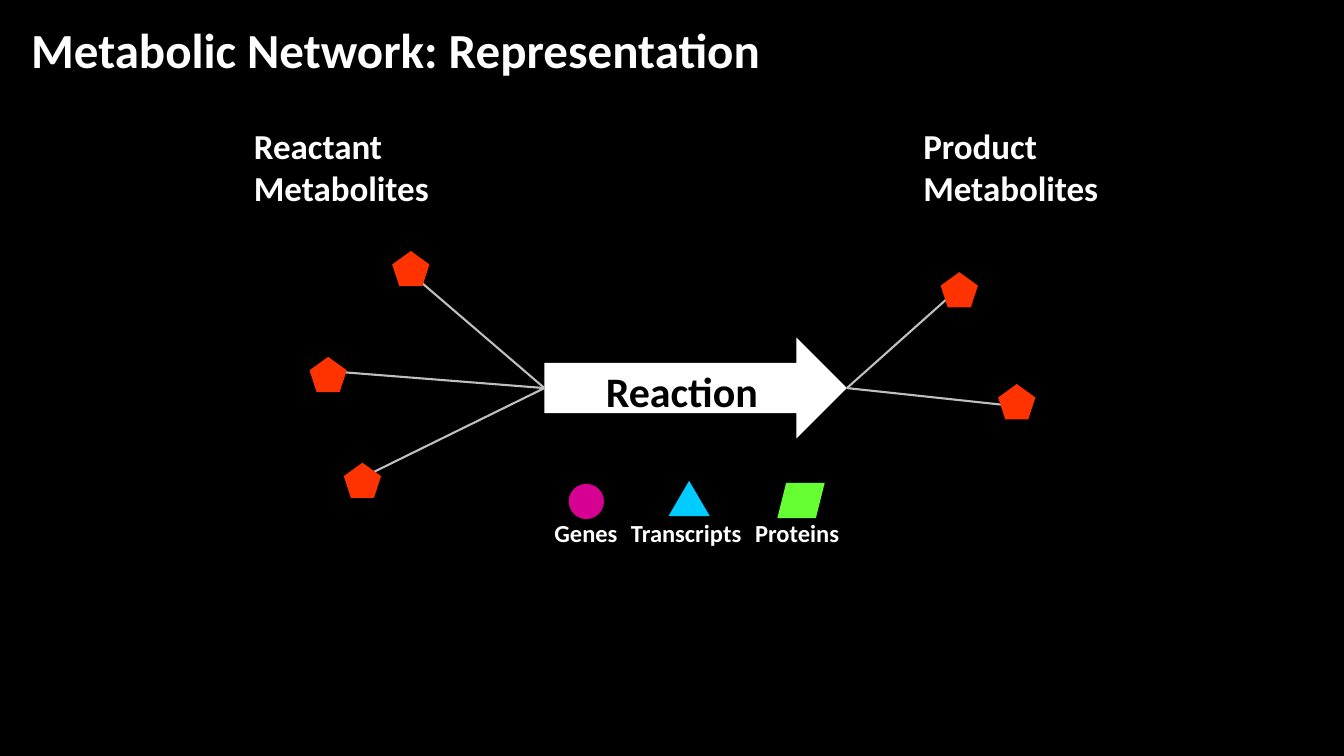
from dataclasses import dataclass

from lxml import etree
from pptx import Presentation
from pptx.dml.color import RGBColor
from pptx.enum.shapes import MSO_CONNECTOR, MSO_SHAPE
from pptx.oxml.ns import qn
from pptx.util import Inches, Pt

STRAIGHT = MSO_CONNECTOR.STRAIGHT
PENTAGON = MSO_SHAPE.REGULAR_PENTAGON
ARROW = MSO_SHAPE.RIGHT_ARROW
CIRCLE = MSO_SHAPE.OVAL
TRIANGLE = MSO_SHAPE.ISOSCELES_TRIANGLE
PARALLELOGRAM = MSO_SHAPE.PARALLELOGRAM
LEFT_SIDE, RIGHT_SIDE = 1, 3


@dataclass(frozen=True)
class Theme:
    font: str = "Calibri"
    background: str = "000000"
    light: str = "FFFFFF"
    dark: str = "000000"
    link: str = "BFBFBF"
    metabolite: str = "FF3300"
    gene: str = "D60093"
    transcript: str = "00CCFF"
    protein: str = "66FF33"
    title_size: float = 35
    reaction_size: float = 30
    heading_size: float = 25
    legend_size: float = 17.5
    link_width: float = 1.5


THEME = Theme()

# Metabolites: pentagon left and top, then the end of its link
REACTANTS = [
    (3.89, 2.49, 4.06, 2.7),
    (3.07, 3.54, 3.24, 3.68),
    (3.41, 4.59, 3.61, 4.73),
]
PRODUCTS = [
    (9.33, 2.7, 9.51, 2.86),
    (9.9, 3.81, 10.08, 4.03),
]

# Legend: symbol, its box and colour, then label, its left and width
LEGEND = [
    (CIRCLE, (5.64, 4.8, 0.35, 0.35), THEME.gene, "Genes", 5.4, 0.83),
    (TRIANGLE, (6.63, 4.77, 0.41, 0.35), THEME.transcript, "Transcripts", 6.16, 1.34),
    (PARALLELOGRAM, (7.71, 4.79, 0.47, 0.35), THEME.protein, "Proteins", 7.39, 1.11),
]


def color(value):
    return RGBColor.from_string(value)


def add_label(slide, box, lines, size, text_color=THEME.light):
    text_frame = slide.shapes.add_textbox(*map(Inches, box)).text_frame
    text_frame.word_wrap = True
    for index, line in enumerate(lines):
        paragraph = text_frame.add_paragraph() if index else text_frame.paragraphs[0]
        run = paragraph.add_run()
        run.text = line
        run.font.name = THEME.font
        run.font.size = Pt(size)
        run.font.bold = True
        run.font.color.rgb = color(text_color)


def add_symbol(slide, kind, box, fill):
    shape = slide.shapes.add_shape(kind, *map(Inches, box))
    shape.shadow.inherit = False
    shape.fill.solid()
    shape.fill.fore_color.rgb = color(fill)
    shape.line.fill.background()
    return shape


def add_link(slide, arrow, side, end_x, end_y):
    end = Inches(end_x), Inches(end_y)
    connector = slide.shapes.add_connector(STRAIGHT, *end, *end)
    connector.begin_connect(arrow, side)
    connector.line.color.rgb = color(THEME.link)
    connector.line.width = Pt(THEME.link_width)
    etree.SubElement(connector.element.spPr, qn("a:effectLst"))


def add_metabolites(slide, arrow, side, metabolites):
    for left, top, end_x, end_y in metabolites:
        add_link(slide, arrow, side, end_x, end_y)
        add_symbol(slide, PENTAGON, (left, top, 0.37, 0.35), THEME.metabolite)


def main():
    presentation = Presentation()
    presentation.slide_width = Inches(13.33)
    presentation.slide_height = Inches(7.5)
    slide = presentation.slides.add_slide(presentation.slide_layouts[6])
    slide.background.fill.solid()
    slide.background.fill.fore_color.rgb = color(THEME.background)

    # Title and headings
    add_label(slide, (0.21, 0.14, 12.43, 0.69),
              ["Metabolic Network: Representation"], THEME.title_size)
    for left, role in ((2.42, "Reactant"), (9.06, "Product")):
        add_label(slide, (left, 1.19, 1.96, 0.94),
                  [role, "Metabolites"], THEME.heading_size)

    # Reaction with its metabolites
    arrow = add_symbol(slide, ARROW, (5.4, 3.35, 3, 1), THEME.light)
    add_metabolites(slide, arrow, LEFT_SIDE, REACTANTS)
    add_metabolites(slide, arrow, RIGHT_SIDE, PRODUCTS)
    add_label(slide, (5.91, 3.58, 1.78, 0.52), ["Reaction"],
              THEME.reaction_size, THEME.dark)

    # Legend
    for kind, box, fill, name, left, width in LEGEND:
        add_symbol(slide, kind, box, fill)
        add_label(slide, (left, 5.09, width, 0.4), [name], THEME.legend_size)

    presentation.save("out.pptx")


if __name__ == "__main__":
    main()
